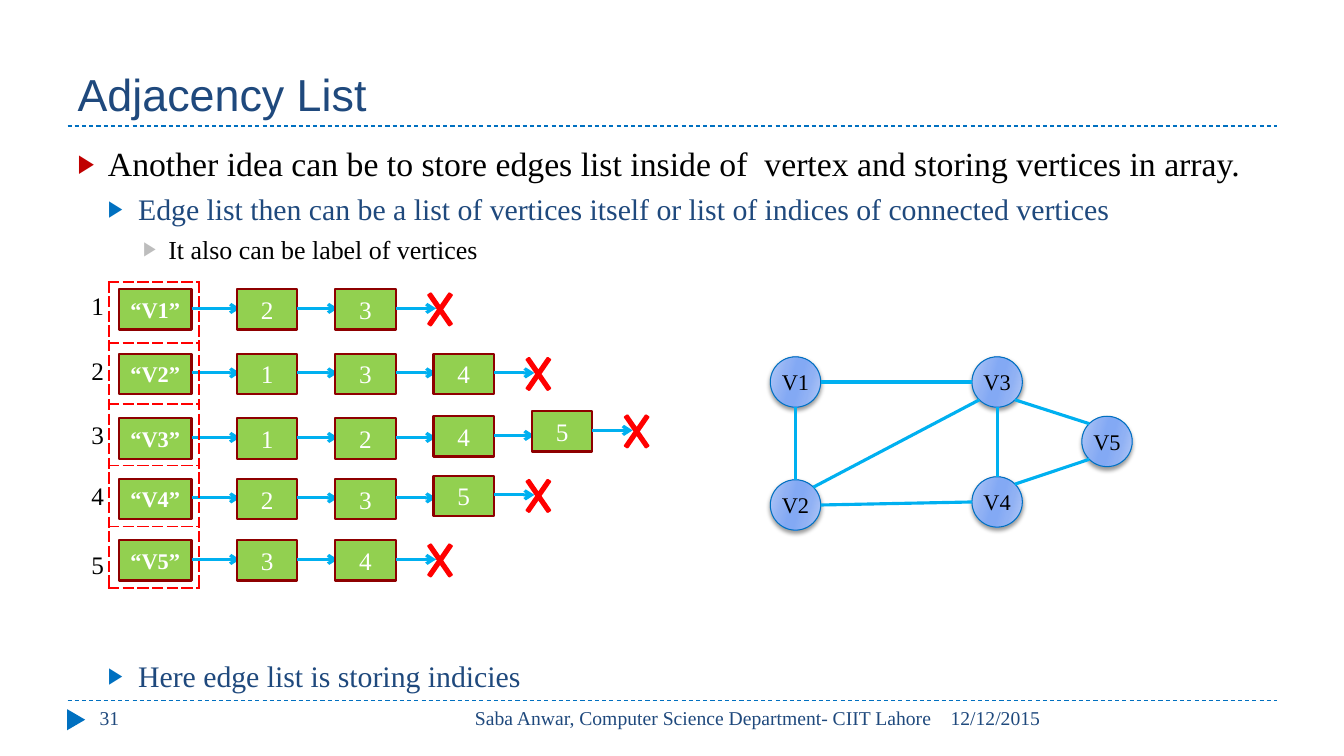
from dataclasses import dataclass
from math import cos, radians, sin
from lxml.etree import SubElement as Sub
from pptx import Presentation
from pptx.dml.color import RGBColor as Rgb
from pptx.enum.dml import MSO_LINE as Dash
from pptx.enum.shapes import MSO_CONNECTOR as Link, MSO_SHAPE as Kind
from pptx.enum.text import MSO_ANCHOR as Anchor, MSO_AUTO_SIZE as Fit, PP_ALIGN as Align
from pptx.oxml.ns import qn
from pptx.util import Inches, Pt


@dataclass(frozen=True)
class Theme:
    serif: str = "Times New Roman"
    sans: str = "Arial"
    navy: str = "1F497D"
    blue: str = "0070C0"
    sky: str = "00B0F0"
    green: str = "92D050"
    maroon: str = "8E0000"
    red: str = "FF0000"
    black: str = "000000"
    white: str = "FFFFFF"
    bullets: tuple = ("C00000", "0070C0", "BDBDBD")
    shades: tuple = ((0, "B4C9F6"), (30, "90B1F4"), (45, "83A9F4"),
                     (55, "83A9F4"), (73, "90B1F4"), (100, "B4C9F6"))
    title: float = 32
    levels: tuple = (24.1, 21.3, 18.5)
    item: float = 18
    label: float = 16
    foot: float = 14


look = Theme()


def apply(target, **values):
    for name, value in values.items():
        setattr(target, name, value)


def place(shape, box):
    apply(shape, **dict(zip(("left", "top", "width", "height"), map(Inches, box))))


def node(parent, tag, **values):
    return Sub(parent, qn(tag), {key: str(value) for key, value in values.items()})


def tint(parent, color):
    return node(node(parent, "a:solidFill"), "a:srgbClr", val=color)


def write(par, text, size, color, face=look.serif, bold=False, align=Align.LEFT):
    par.alignment = align
    run = par.add_run()
    run.text = text
    apply(run.font, name=face, size=Pt(size), bold=bold)
    run.font.color.rgb = Rgb.from_string(color)


def note(slide, box, text, size, color, anchor=Anchor.TOP, align=Align.LEFT):
    shape = slide.shapes.add_textbox(*map(Inches, box))
    apply(shape.text_frame, word_wrap=True, vertical_anchor=anchor)
    write(shape.text_frame.paragraphs[0], text, size, color, align=align)


def form(slide, kind, box, fill, edge, weight):
    shape = slide.shapes.add_shape(kind, *map(Inches, box))
    shape.shadow.inherit = False
    shape.fill.solid()
    shape.fill.fore_color.rgb = Rgb.from_string(fill)
    shape.line.color.rgb = Rgb.from_string(edge)
    shape.line.width = Pt(weight)
    apply(shape.text_frame, vertical_anchor=Anchor.MIDDLE, margin_left=0,
          margin_right=0, margin_top=0, margin_bottom=0)
    return shape


def rule(slide, start, end, color=look.sky, weight=2.25, dash=None, arrow=False):
    line = slide.shapes.add_connector(Link.STRAIGHT, *map(Inches, (*start, *end)))
    line.line.color.rgb = Rgb.from_string(color)
    apply(line.line, width=Pt(weight), dash_style=dash)
    if arrow:
        node(line.line._get_or_add_ln(), "a:tailEnd", type="arrow")
    node(line._element.spPr, "a:effectLst")


def head(slide, box):
    x, y, w, h = box
    title = slide.shapes.title
    place(title, box)
    apply(title.text_frame, word_wrap=True, auto_size=Fit.NONE, vertical_anchor=Anchor.BOTTOM)
    write(title.text_frame.paragraphs[0], "Adjacency List", look.title, look.navy, look.sans)
    rule(slide, (x, y + h), (x + w, y + h), look.blue, 0.75, Dash.DASH)


def body(slide, box):
    shape = slide.placeholders[1]
    place(shape, box)
    frame = shape.text_frame
    apply(frame, word_wrap=True, auto_size=Fit.NONE, vertical_anchor=Anchor.TOP,
          margin_top=Inches(0.09))
    lines = (
        (0, 0, "Another idea can be to store edges list inside of  vertex and storing vertices in array."),
        (1, 5, "Edge list then can be a list of vertices itself or list of indices of connected vertices"),
        (2, 5, "It also can be label of vertices"),
        (1, 281, "Here edge list is storing indicies"),
    )
    colors = (look.black, look.navy, look.black)
    for spot, (level, gap, text) in enumerate(lines):
        par = frame.add_paragraph() if spot else frame.paragraphs[0]
        props = par._p.get_or_add_pPr()
        props.set("marL", str(Inches(0.3 * (level + 1))))
        props.set("indent", str(-Inches((0.3, 0.3, 0.25)[level])))
        node(node(props, "a:buClr"), "a:srgbClr", val=look.bullets[level])
        node(props, "a:buSzPct", val=76000)
        node(props, "a:buFont", typeface=look.sans)
        node(props, "a:buChar", char="▶")
        apply(par, level=level, space_before=Pt(gap), space_after=Pt(0), line_spacing=1.0)
        write(par, text, look.levels[level], colors[level])


def cell(slide, box, text, size, bold=False, reach=0.4):
    x, y, w, h = box
    shape = form(slide, Kind.RECTANGLE, box, look.green, look.maroon, 1.5)
    write(shape.text_frame.paragraphs[0], text, size, look.white, bold=bold, align=Align.CENTER)
    tip = x + w + reach, y + 0.19
    rule(slide, (x + w, tip[1]), tip, arrow=True)
    return tip


def chains(slide, box):
    x, y, w, h = box
    rows = (
        (0.07, 0, "23", (0, 0)),
        (0.71, 0.64, "134", (0, 0, 0)),
        (1.35, 1.28, "1245", (0, 0, -0.02, -0.07)),
        (1.95, 1.88, "235", (0, 0, -0.03)),
        (2.56, 2.56, "34", (0, 0)),
    )
    for index, (top, mark, items, shifts) in enumerate(rows, 1):
        cell(slide, (x + 0.1, y + top, 0.72, 0.4), f"“V{index}”", look.label, True, 0.48)
        for col, (item, shift) in enumerate(zip(items, shifts)):
            spot = x + 1.27 + 0.975 * col, y + top + shift, 0.6, 0.4
            tip = cell(slide, spot, item, look.item)
        cross = form(slide, Kind.MATH_MULTIPLY, (tip[0] - 0.16, tip[1] - 0.28, 0.4, 0.58),
                     look.red, look.red, 1.5)
        cross.adjustments[0] = 0.077
        note(slide, (x - 0.41, y + mark, 0.6, 0.47), str(index), look.item, look.black,
             Anchor.MIDDLE, Align.CENTER)
    grid(slide, (x, y, w, h), len(rows))


def grid(slide, box, count):
    table = slide.shapes.add_table(count, 1, *map(Inches, box)).table
    apply(table, first_row=False, horz_banding=False)
    for row in table.rows:
        slot = row.cells[0]
        props = slot._tc.get_or_add_tcPr()
        for side in "LRTB":
            line = node(props, f"a:ln{side}", w=Pt(1.5))
            tint(line, look.red)
            node(line, "a:prstDash", val="sysDash")
        slot.fill.background()


def disc(slide, box, text):
    shape = form(slide, Kind.OVAL, box, look.white, look.blue, 0.75)
    shape.fill.gradient()
    shape.fill.gradient_angle = 344
    stops = shape._element.spPr.find(qn("a:gradFill")).find(qn("a:gsLst"))
    for stop in list(stops):
        stops.remove(stop)
    for spot, color in look.shades:
        node(node(stops, "a:gs", pos=spot * 1000), "a:srgbClr", val=color)
    effect = shape._element.spPr.find(qn("a:effectLst"))
    shade = node(effect, "a:outerShdw", blurRad=Pt(3), dist=Pt(2), dir=5400000, rotWithShape=0)
    node(node(shade, "a:srgbClr", val=look.black), "a:alpha", val=40000)
    shape.text_frame.word_wrap = False
    write(shape.text_frame.paragraphs[0], text, look.label, look.black, align=Align.CENTER)


def graph(slide, box):
    x, y, w, h = box
    size = 0.5
    spots = {"V1": (0, 0), "V2": (0, 1.22), "V3": (2, 0), "V4": (2, 1.19), "V5": (3.09, 0.59)}
    edges = (("V1", 270, "V3", 90), ("V1", 180, "V2", 0), ("V2", 315, "V3", 135),
             ("V2", 270, "V4", 90), ("V3", 180, "V4", 0), ("V3", 225, "V5", 45),
             ("V4", 315, "V5", 135))

    def port(name, angle):
        dx, dy = spots[name]
        turn = radians(angle)
        return (x + dx + size / 2 * (1 - sin(turn)), y + dy + size / 2 * (1 - cos(turn)))

    for name, (dx, dy) in spots.items():
        disc(slide, (x + dx, y + dy, size, size), name)
    for first, out, last, into in edges:
        if first == "V3" and last == "V5":
            out = 225 + 90
        rule(slide, port(first, 225 if last == "V5" and first == "V3" else out), port(last, into))


def foot(slide, box):
    x, y, w, h = box
    rule(slide, (x, y), (x + w, y), look.blue, 0.75, Dash.DASH)
    mark = form(slide, Kind.ISOSCELES_TRIANGLE, (x - 0.02, y + 0.1, 0.21, 0.18),
                look.blue, look.blue, 0.75)
    mark.rotation = 90
    mark.line.fill.background()
    parts = (
        (0.22, 2.89, "31", Align.LEFT),
        (3.56, 5.11, "Saba Anwar, Computer Science Department- CIIT Lahore", Align.RIGHT),
        (8.66, 3.34, "12/12/2015", Align.LEFT),
    )
    for dx, width, text, align in parts:
        note(slide, (x + dx, y, width, h), text, look.foot, look.navy, align=align)


def main():
    deck = Presentation()
    apply(deck, slide_width=Inches(13.33), slide_height=Inches(7.5))
    slide = deck.slides.add_slide(deck.slide_layouts[1])
    head(slide, (0.67, 0.17, 12, 1.08))
    body(slide, (0.67, 1.33, 12, 5.4))
    chains(slide, (1.08, 2.8, 0.89, 3.03))
    graph(slide, (7.64, 3.54, 3.59, 1.72))
    foot(slide, (0.67, 6.95, 12, 0.4))
    deck.save("out.pptx")


if __name__ == "__main__":
    main()
